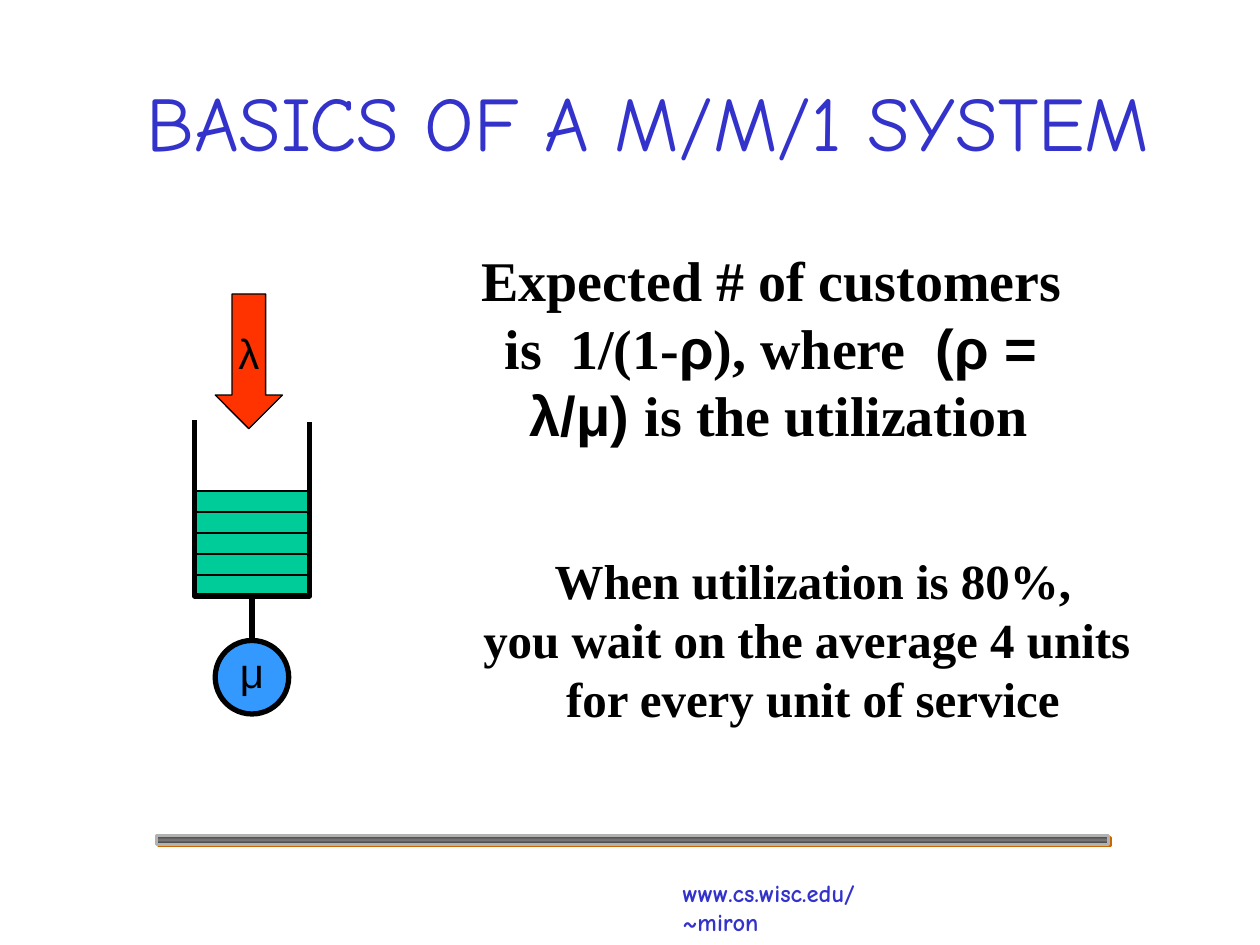
from lxml.etree import SubElement
from pptx import Presentation
from pptx.dml.color import RGBColor
from pptx.enum.shapes import MSO_CONNECTOR, MSO_SHAPE
from pptx.enum.text import MSO_ANCHOR, PP_ALIGN
from pptx.oxml import parse_xml
from pptx.oxml.ns import nsdecls, qn
from pptx.util import Pt

BLUE = RGBColor(0x33, 0x33, 0xCC)
BLACK = RGBColor(0, 0, 0)
GREEN = RGBColor(0, 0xCC, 0x99)
RED = RGBColor(0xFF, 0x33, 0)
SKY = RGBColor(0x33, 0x99, 0xFF)
SILVER = RGBColor(0xB2, 0xB2, 0xB2)
DARK_GRAY = RGBColor(0x37, 0x37, 0x37)
GRAY = RGBColor(0x77, 0x77, 0x77)
ORANGE = RGBColor(0xCC, 0x66, 0)
COMIC, SANS, SERIF = "Comic Neue", "Arial", "Times New Roman"


def write(frame, paragraphs, size, color=BLACK, font=SERIF, bold=False,
          align=PP_ALIGN.CENTER, anchor=MSO_ANCHOR.TOP, wrap=False):
    frame.word_wrap = wrap
    frame.vertical_anchor = anchor
    for index, spans in enumerate(paragraphs):
        para = frame.add_paragraph() if index else frame.paragraphs[0]
        para.alignment = align
        for text, face in [(spans, font)] if isinstance(spans, str) else spans:
            span = para.add_run()
            span.text = text
            span.font.name = face
            span.font.size = Pt(size)
            span.font.bold = bold
            span.font.color.rgb = color


class SlideBuilder:
    def __init__(self, deck):
        self.page = deck.slides.add_slide(deck.slide_layouts[5])
        self.shapes = self.page.shapes

    def title(self, text, place, **style):
        box = self.shapes.title
        box.left, box.top, box.width, box.height = map(Pt, place)
        write(box.text_frame, [text], **style)

    def text(self, paragraphs, place, **style):
        box = self.shapes.add_textbox(*map(Pt, place))
        write(box.text_frame, paragraphs, **style)

    def outline(self, shape, weight, color=BLACK):
        shape.line.color.rgb = color
        shape.line.width = Pt(weight)

    def shape(self, kind, place, fill, weight, line=BLACK):
        shape = self.shapes.add_shape(kind, *map(Pt, place))
        shape.shadow.inherit = False
        shape.fill.solid()
        shape.fill.fore_color.rgb = fill
        self.outline(shape, weight, line)
        return shape

    def rule(self, place):
        bar = self.shape(MSO_SHAPE.RECTANGLE, place, GRAY, 1.5, SILVER)
        properties = bar._element.spPr
        stops = "".join(
            f'<a:gs pos="{position}"><a:srgbClr val="{color}"/></a:gs>'
            for position, color in ((0, DARK_GRAY), (50000, GRAY), (100000, DARK_GRAY)))
        gradient = parse_xml(
            f'<a:gradFill {nsdecls("a")}><a:gsLst>{stops}</a:gsLst>'
            '<a:lin ang="5400000" scaled="0"/></a:gradFill>')
        properties.replace(properties.find(qn("a:solidFill")), gradient)
        shadow = SubElement(properties.find(qn("a:effectLst")), qn("a:outerShdw"),
                            dist=str(Pt(1.4)), dir="2700000", algn="ctr", rotWithShape="0")
        SubElement(shadow, qn("a:srgbClr"), val=str(ORANGE))

    def connect(self, upper, lower, weight):
        line = self.shapes.add_connector(MSO_CONNECTOR.STRAIGHT, 0, 0, 0, 0)
        line.begin_connect(upper, 2)
        line.end_connect(lower, 0)
        self.outline(line, weight)
        SubElement(line._element.spPr, qn("a:effectLst"))

    def open_path(self, points, weight):
        start, *others = [(Pt(x), Pt(y)) for x, y in points]
        builder = self.shapes.build_freeform(*start)
        builder.add_line_segments(others, close=False)
        path = builder.convert_to_shape()
        path.shadow.inherit = False
        path.fill.background()
        self.outline(path, weight)


def draw_queue(builder):
    left, right, bottom = 111, 177, 340.5
    row_height, row_count = 12, 5
    rows = [builder.shape(MSO_SHAPE.RECTANGLE,
                          (left, bottom - row_height * number, right - left, row_height),
                          GREEN, 1)
            for number in range(1, row_count + 1)]
    arrow = builder.shape(MSO_SHAPE.DOWN_ARROW, (123, 168, 38.4, 77), RED, 0.75)
    write(arrow.text_frame, ["λ"], size=24, font=SANS, anchor=MSO_ANCHOR.MIDDLE)
    server = builder.shape(MSO_SHAPE.OVAL, (123, 366, 42, 42), SKY, 3)
    builder.connect(rows[0], server, 3)
    builder.open_path([(left, 240), (left, bottom), (right, bottom), (right, 241)], 3)
    builder.text(["μ"], (130, 366, 28, 36), size=24, font=SANS)


def main():
    deck = Presentation()
    deck.slide_width, deck.slide_height = Pt(720), Pt(540)
    builder = SlideBuilder(deck)
    builder.text(["www.cs.wisc.edu/~miron"], (383, 498, 156, 24.5), size=14,
                 color=BLUE, font=COMIC, bold=True, align=PP_ALIGN.LEFT)
    builder.rule((89.5, 477.5, 544, 5))
    builder.title("BASICS OF A M/M/1 SYSTEM", (54, 24, 633, 90), size=44,
                  color=BLUE, font=COMIC, anchor=MSO_ANCHOR.MIDDLE, wrap=True)
    draw_queue(builder)
    expected = [("Expected # of customers  is  1/(1-", SERIF), ("ρ", SANS),
                ("), where ", SERIF), (" (ρ =  λ/μ) ", SANS),
                ("is the utilization", SERIF)]
    builder.text([expected], (264, 137, 362, 161), size=32, bold=True, wrap=True)
    builder.text(["When utilization is 80%,", "you wait on the average 4 units ",
                  "for every unit of service"],
                 (269, 311, 391, 108), size=28, bold=True)
    deck.save("out.pptx")


if __name__ == "__main__":
    main()
